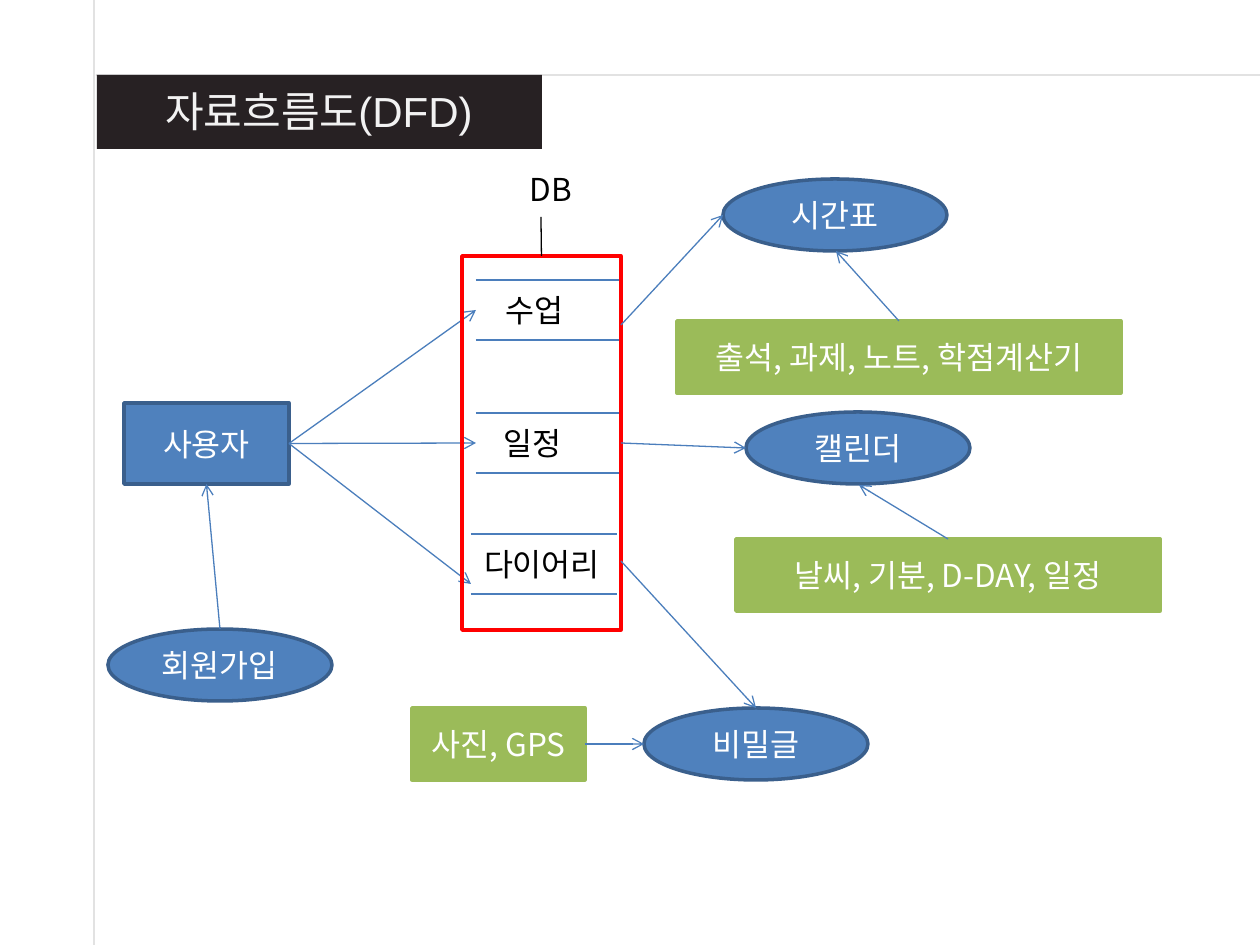
from lxml.etree import SubElement
from pptx import Presentation
from pptx.dml.color import RGBColor
from pptx.enum.shapes import MSO_CONNECTOR, MSO_SHAPE
from pptx.enum.text import MSO_ANCHOR, MSO_AUTO_SIZE, PP_ALIGN
from pptx.oxml.ns import qn
from pptx.util import Pt

EMU_PER_PX = 914400 / 126
WIDTH, HEIGHT = 1260, 945
FONT = "Noto Sans CJK KR"
TOP, LEFT, BOTTOM, RIGHT = range(4)
COLORS = {
    "guide": "A6A6A6", "bar": "272123", "title": "F2F2F2",
    "blue": "4F81BD", "blue_edge": "3A5F8C", "flow": "4B7EBC",
    "green": "9BBB59", "red": "FF0000", "black": "000000", "white": "FFFFFF",
}


def px(*values):
    return [round(value * EMU_PER_PX) for value in values]


def color(name):
    return RGBColor.from_string(COLORS[name])


def write(box, text, ink, size=18, font=FONT, align=PP_ALIGN.CENTER):
    frame = box.text_frame
    frame.word_wrap = True
    frame.text = text
    paragraph = frame.paragraphs[0]
    paragraph.alignment = align
    for span in paragraph.runs:
        span.font.name = font
        span.font.size = Pt(size)
        span.font.color.rgb = color(ink)
        east_asian = SubElement(span.font._element, qn("a:ea"))
        east_asian.set("typeface", FONT)


def add_node(page, kind, place, fill=None, edge=None, text=None):
    node = page.shapes.add_shape(kind, *px(*place))
    node.shadow.inherit = False
    if fill:
        node.fill.solid()
        node.fill.fore_color.rgb = color(fill)
    else:
        node.fill.background()
    if edge:
        node.line.color.rgb = color(edge)
        node.line.width = Pt(2)
    else:
        node.line.fill.background()
    if text:
        write(node, text, "white")
        node.text_frame.vertical_anchor = MSO_ANCHOR.MIDDLE
    return node


def add_process(page, left, top, text):
    return add_node(page, MSO_SHAPE.OVAL, (left, top, 224, 72), "blue", "blue_edge", text)


def add_details(page, left, top, width, text):
    return add_node(page, MSO_SHAPE.RECTANGLE, (left, top, width, 72), "green", "green", text)


def add_label(page, place, text, indent=13):
    label = page.shapes.add_textbox(*px(*place))
    write(label, text, "black", align=PP_ALIGN.LEFT)
    label.text_frame.margin_left = px(indent)[0]
    return label


def add_line(page, start, end, ink="flow", arrow=False, source=None, target=None):
    """Draw a line; source and target are (shape, side) pairs to join."""
    line = page.shapes.add_connector(MSO_CONNECTOR.STRAIGHT, *px(*start, *end))
    line.line.color.rgb = color(ink)
    line.line.width = Pt(0.75)
    if arrow:
        SubElement(line.line._get_or_add_ln(), qn("a:tailEnd")).set("type", "arrow")
    SubElement(line._element.spPr, qn("a:effectLst"))
    if source:
        line.begin_connect(*source)
    if target:
        line.end_connect(*target)
    return line


def add_store(page, left, right, top, text, height=50, indent=13):
    """Data store: a label between two rules."""
    for y in (top, top + 60):
        add_line(page, (left, y), (right, y))
    return add_label(page, (left, top + 5, 630 - left, height), text, indent)


def add_heading(page):
    for start, end in (((94, 0), (94, HEIGHT)), ((WIDTH, 75), (96, 75))):
        guide = add_line(page, start, end, "guide")
        fill = guide.line._get_or_add_ln().find(qn("a:solidFill"))
        SubElement(fill[0], qn("a:alpha")).set("val", "50000")
        page.shapes.title.element.addprevious(guide.element)
    bar = add_node(page, MSO_SHAPE.RECTANGLE, (97, 75, 445, 74), "bar")
    title = page.shapes.title
    title.element.addprevious(bar.element)
    title.left, title.top, title.width, title.height = px(89, 79, 460, 63)
    write(title, "자료흐름도(DFD)", "title", 24, "Arial")
    title.text_frame.vertical_anchor = MSO_ANCHOR.TOP
    title.text_frame.auto_size = MSO_AUTO_SIZE.NONE


def main():
    deck = Presentation()
    deck.slide_width, deck.slide_height = px(WIDTH, HEIGHT)
    page = deck.slides.add_slide(deck.slide_layouts[5])
    add_heading(page)

    # User and sign-up
    user = add_node(page, MSO_SHAPE.RECTANGLE, (124, 403, 165, 81),
                    "blue", "blue_edge", "사용자")
    add_process(page, 108, 629, "회원가입")
    add_line(page, (220, 629), (206, 484), arrow=True, target=(user, BOTTOM))

    # Database with its three stores
    stores = [
        add_store(page, 476, 619, 280, "수업", indent=30),
        add_store(page, 476, 619, 413, "일정", indent=28),
        add_store(page, 471, 617, 534, "다이어리", height=90),
    ]
    for store in stores:
        add_line(page, (289, 443), (476, 443), arrow=True,
                 source=(user, RIGHT), target=(store, LEFT))
    database = add_node(page, MSO_SHAPE.RECTANGLE, (462, 256, 159, 374), edge="red")
    add_line(page, (541, 256), (541, 217), "black", source=(database, TOP))
    add_label(page, (517, 164, 68, 50), "DB")

    # Processes and the details that feed them
    add_process(page, 723, 179, "시간표")
    add_process(page, 746, 412, "캘린더")
    add_process(page, 644, 708, "비밀글")
    timetable = add_details(page, 677, 321, 444, "출석, 과제, 노트, 학점계산기")
    calendar = add_details(page, 736, 539, 424, "날씨, 기분, D-DAY, 일정")
    secret = add_details(page, 412, 708, 173, "사진, GPS")
    add_line(page, (899, 321), (836, 251), arrow=True, source=(timetable, TOP))
    add_line(page, (948, 539), (859, 485), arrow=True, source=(calendar, TOP))
    add_line(page, (585, 744), (644, 744), arrow=True, source=(secret, RIGHT))

    # Flows from the database
    add_line(page, (621, 325), (723, 215), arrow=True)
    add_line(page, (621, 443), (746, 448), arrow=True, source=(database, RIGHT))
    add_line(page, (621, 561), (756, 708), arrow=True)

    deck.save("out.pptx")


if __name__ == "__main__":
    main()
